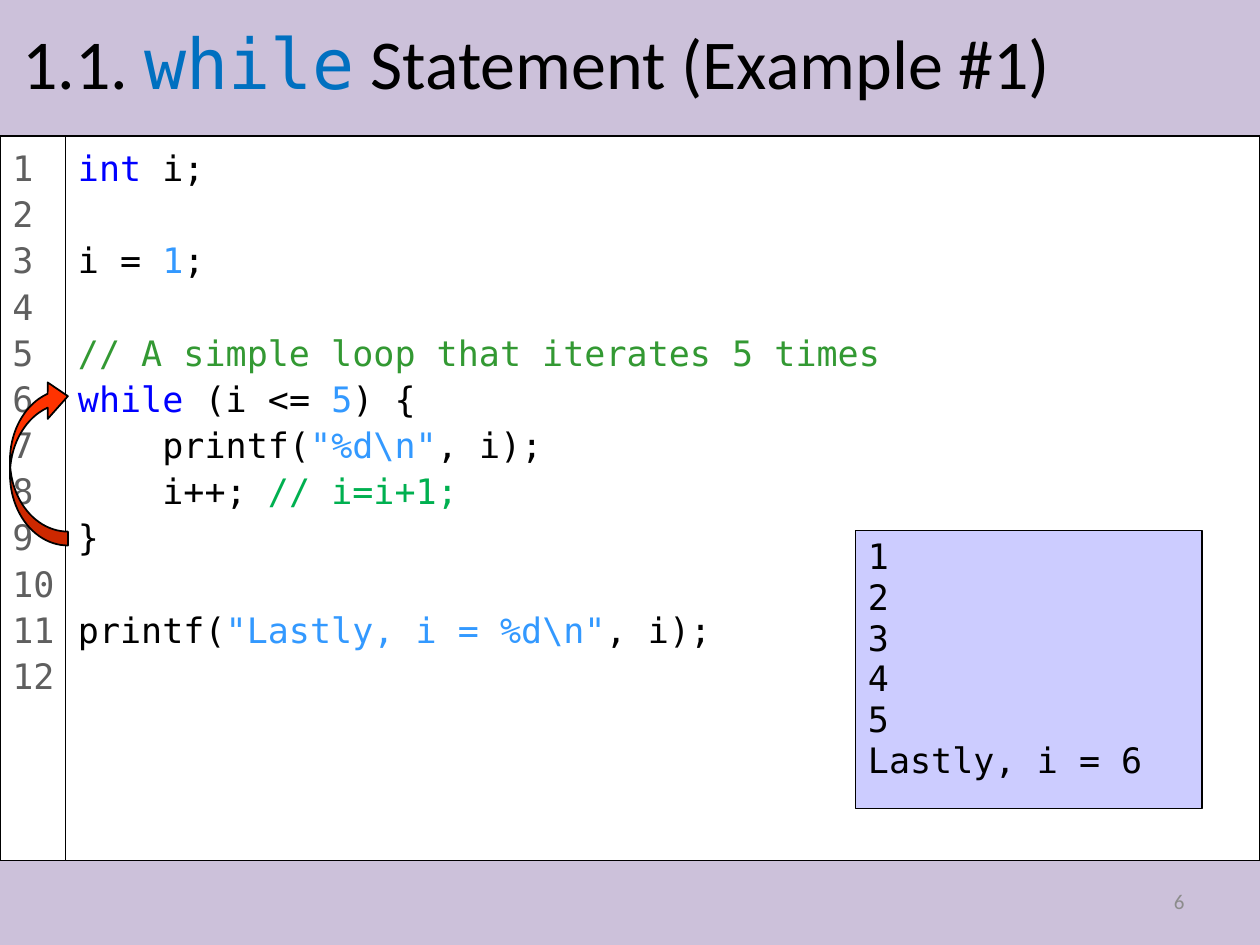
from dataclasses import dataclass

from pptx import Presentation
from pptx.dml.color import RGBColor
from pptx.enum.shapes import MSO_SHAPE as Preset
from pptx.enum.text import MSO_ANCHOR as Anchor, PP_ALIGN as Align
from pptx.util import Inches, Pt


@dataclass(frozen=True)
class Theme:
    sans: str = "Calibri"
    mono: str = "DejaVu Sans Mono"
    title_size: float = 40
    code_size: float = 20
    footer_size: float = 12
    blank_line: float = 26.4
    output_gap: float = 4
    black: str = "000000"
    white: str = "FFFFFF"
    band: str = "CCC1DA"
    output: str = "CCCCFF"
    arrow: str = "FF3300"
    title_keyword: str = "0070C0"
    line_number: str = "5F5F5F"
    page_number: str = "8C8C8C"
    keyword: str = "0000FF"
    literal: str = "3399FF"
    comment: str = "339933"
    inline_comment: str = "00B050"


@dataclass(frozen=True)
class Box:
    left: float
    top: float
    width: float
    height: float

    def lengths(self) -> tuple:
        return tuple(Inches(v) for v in (self.left, self.top, self.width, self.height))


@dataclass(frozen=True)
class Token:
    text: str
    colour: str = Theme.black
    font: str = Theme.mono


@dataclass(frozen=True)
class Line:
    tokens: tuple
    space_before: float = 0


THEME = Theme()
BAND_HEIGHT, CODE_HEIGHT = 1.08, 5.75
GUTTER = 0.52

TITLE = Line((
    Token("1.1. ", font=THEME.sans),
    Token("while", THEME.title_keyword),
    Token(" Statement (Example #1)", font=THEME.sans),
))

# Each group of code lines is set apart by one empty line
CODE_GROUPS = (
    ((Token("int ", THEME.keyword), Token("i;")),),
    ((Token("i = "), Token("1", THEME.literal), Token(";")),),
    (
        (Token("// A simple loop that iterates 5 times", THEME.comment),),
        (Token("while", THEME.keyword), Token(" (i <= "),
         Token("5", THEME.literal), Token(") {")),
        (Token("    printf("), Token('"%d\\n"', THEME.literal), Token(", i);")),
        (Token("    i++; "), Token("// i=i+1;", THEME.inline_comment)),
        (Token("}"),),
    ),
    ((Token("printf("), Token('"Lastly, i = %d\\n"', THEME.literal),
      Token(", i);")),),
)
CODE = [
    Line(tokens, THEME.blank_line if group_index and not line_index else 0)
    for group_index, group in enumerate(CODE_GROUPS)
    for line_index, tokens in enumerate(group)
]
LINE_NUMBERS = [Line((Token(str(n), THEME.line_number),)) for n in range(1, 13)]
OUTPUT = [
    Line((Token(text),), THEME.output_gap if index else 0)
    for index, text in enumerate(["1", "2", "3", "4", "5", "Lastly, i = 6"])
]


def add_shape(slide, preset, box: Box, fill: str, line_width: float = 0):
    shape = slide.shapes.add_shape(preset, *box.lengths())
    shape.shadow.inherit = False
    shape.fill.solid()
    shape.fill.fore_color.rgb = RGBColor.from_string(fill)
    if line_width:
        shape.line.color.rgb = RGBColor.from_string(THEME.black)
        shape.line.width = Pt(line_width)
    else:
        shape.line.fill.background()
    return shape


def write_lines(shape, lines: list, size: float, spacing: float = 1,
                align=Align.LEFT, anchor=Anchor.TOP) -> None:
    frame = shape.text_frame
    frame.word_wrap = True
    frame.vertical_anchor = anchor
    for index, line in enumerate(lines):
        paragraph = frame.add_paragraph() if index else frame.paragraphs[0]
        paragraph.alignment = align
        paragraph.line_spacing = spacing
        paragraph.space_before = Pt(line.space_before)
        paragraph.font.size = Pt(size)
        for token in line.tokens:
            run = paragraph.add_run()
            run.text = token.text
            run.font.name = token.font
            run.font.color.rgb = RGBColor.from_string(token.colour)


def add_text(slide, box: Box, line: Line, size: float, align=Align.LEFT) -> None:
    shape = slide.shapes.add_textbox(*box.lengths())
    write_lines(shape, [line], size, align=align, anchor=Anchor.MIDDLE)


def add_panel(slide, box: Box, fill: str, lines: list, spacing: float):
    shape = add_shape(slide, Preset.RECTANGLE, box, fill, 0.75)
    write_lines(shape, lines, THEME.code_size, spacing)
    return shape


def add_loop_arrow(slide, box: Box) -> None:
    arrow = add_shape(slide, Preset.CURVED_LEFT_ARROW, box, THEME.arrow, 1)
    for index, value in enumerate((0.24, 0.63, 0.35)):
        arrow.adjustments[index] = value
    transform = arrow._element.spPr.xfrm
    transform.set("flipH", "1")
    transform.set("flipV", "1")


def main() -> None:
    presentation = Presentation()
    presentation.slide_width, presentation.slide_height = Inches(10), Inches(7.5)
    slide = presentation.slides.add_slide(presentation.slide_layouts[6])

    # Bands above and below the code
    code_bottom = BAND_HEIGHT + CODE_HEIGHT
    for top, height in ((0, BAND_HEIGHT), (code_bottom, 7.5 - code_bottom)):
        add_shape(slide, Preset.RECTANGLE, Box(0, top, 10, height), THEME.band)

    # Line numbers, title and code
    numbers = add_panel(slide, Box(0, BAND_HEIGHT, GUTTER + 0.01, CODE_HEIGHT),
                        THEME.white, LINE_NUMBERS, 1.1)
    numbers.text_frame.margin_right = 0
    add_text(slide, Box(0.08, 0.08, 9.83, 0.81), TITLE, THEME.title_size)
    add_panel(slide, Box(GUTTER, BAND_HEIGHT, 10 - GUTTER, CODE_HEIGHT),
              THEME.white, CODE, 1.1)

    # Program output
    output = add_panel(slide, Box(6.79, 4.21, 2.75, 2.21), THEME.output, OUTPUT, 0.8)
    output.text_frame.margin_top = output.text_frame.margin_bottom = Inches(0.1)

    # Jump back to the loop condition, and page number
    add_loop_arrow(slide, Box(0.08, 3, 0.46, 1.33))
    page = Line((Token("6", THEME.page_number, THEME.sans),))
    add_text(slide, Box(7.17, 6.95, 2.33, 0.4), page, THEME.footer_size, Align.RIGHT)

    presentation.save("out.pptx")


if __name__ == "__main__":
    main()
